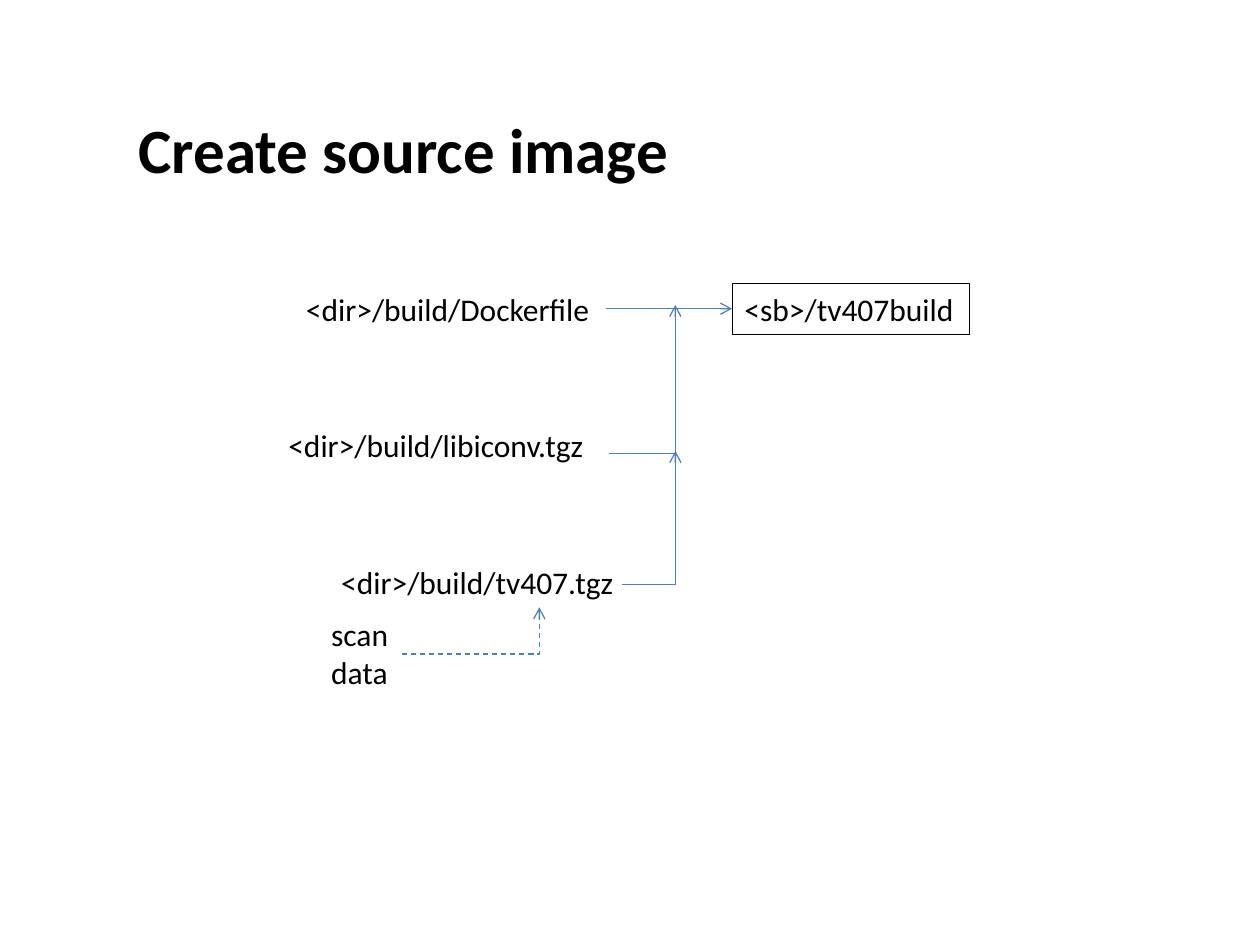
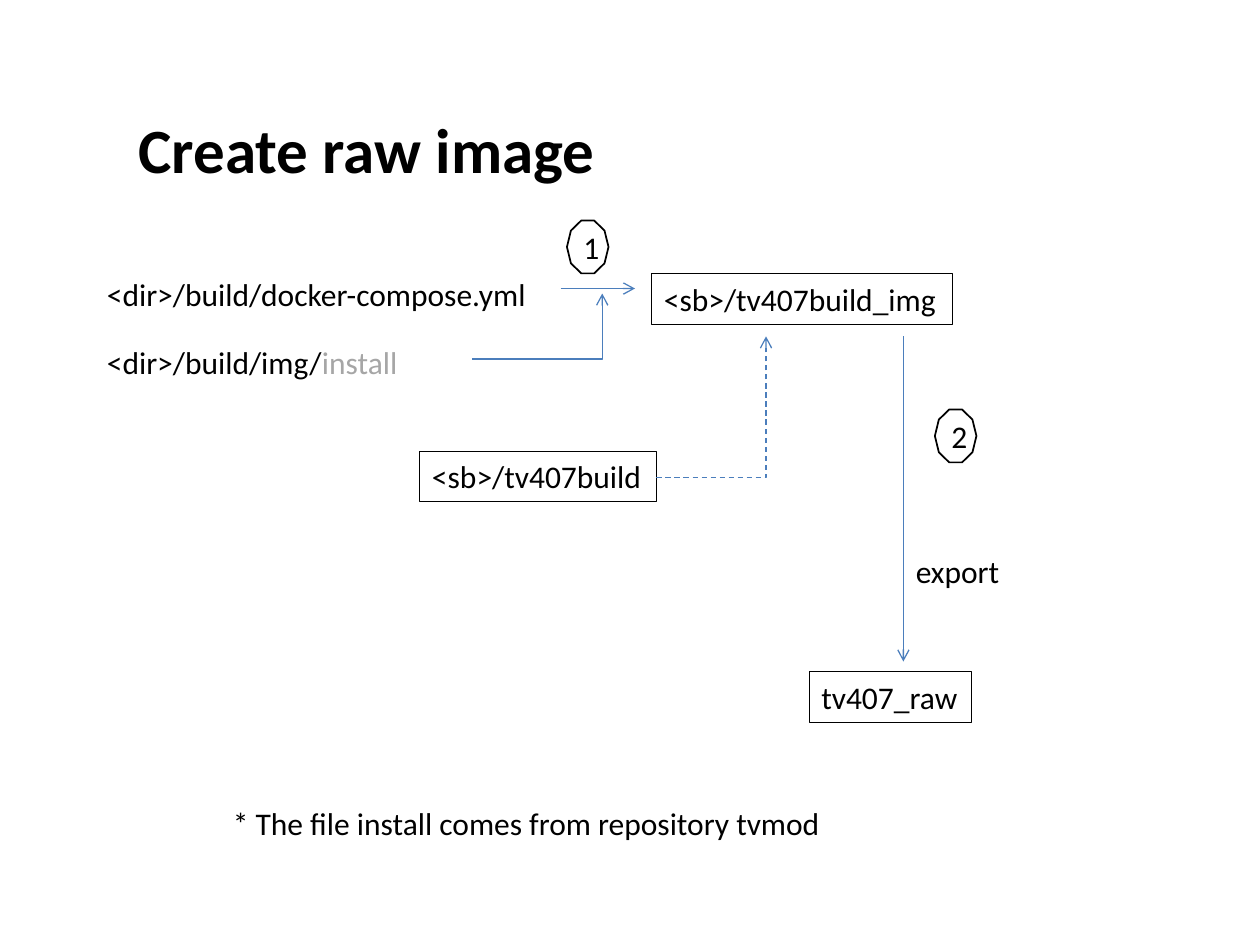
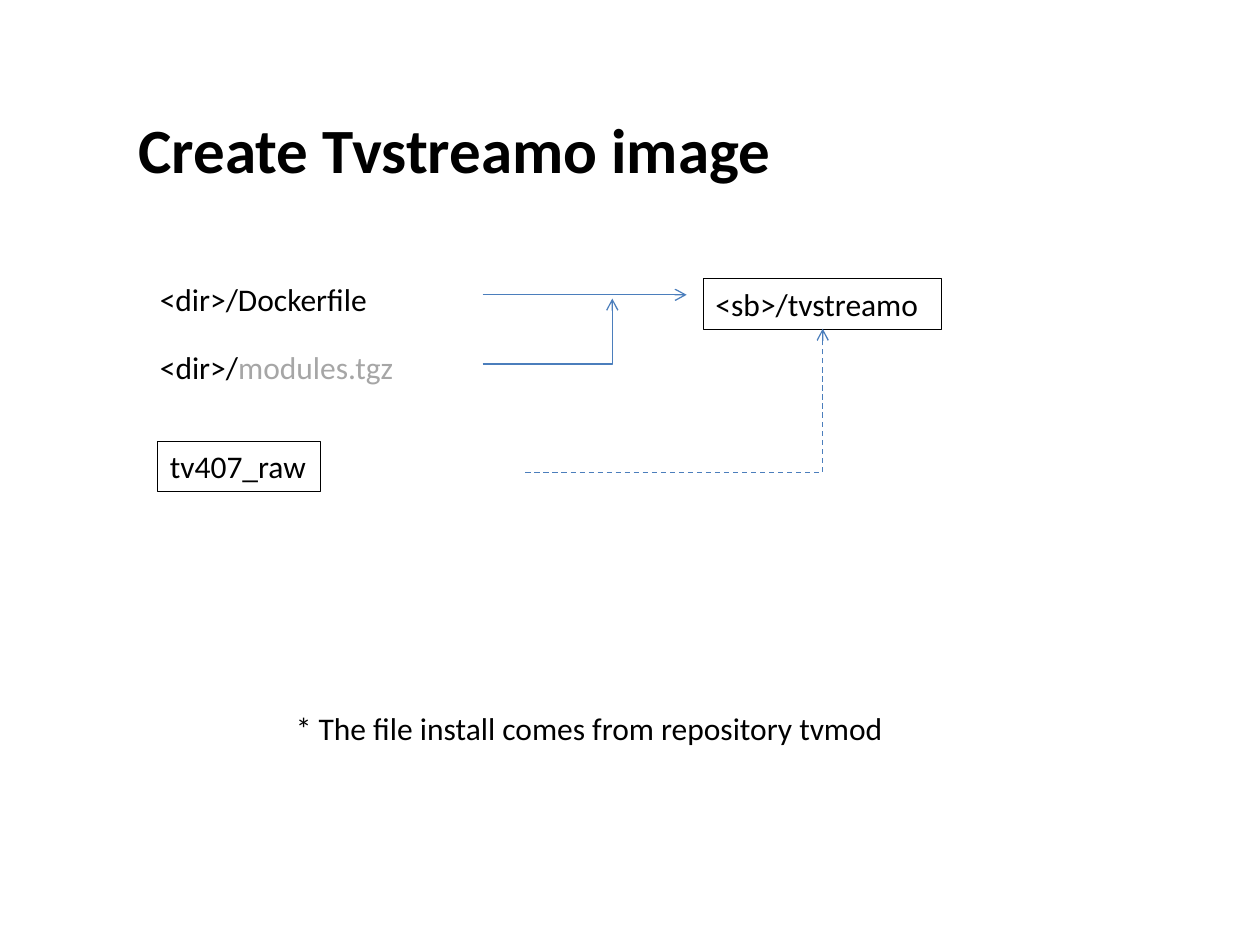
from pptx import Presentation
from pptx.dml.color import RGBColor
from pptx.enum.dml import MSO_LINE
from pptx.enum.shapes import MSO_CONNECTOR, MSO_SHAPE
from pptx.enum.text import MSO_ANCHOR, MSO_AUTO_SIZE, PP_ALIGN
from pptx.oxml.ns import qn
from pptx.util import Inches, Pt
from lxml import etree

FONT = "Calibri"
BLACK, GREY, BLUE = "000000", "A6A6A6", "4B7EBC"
LABEL_H = 0.4
STEP_W, STEP_H = 0.33, 0.42
TITLE_ONLY = 5
DASH = MSO_LINE.DASH
RECT, DECAGON = MSO_SHAPE.RECTANGLE, MSO_SHAPE.DECAGON

NOTE = "* The file install comes from repository tvmod"

# labels: left, top, width, text, optional grey ending
# boxes:  left, top, width, text
# steps:  left, top, number
# arrows: from, to, dashed; an arrow that changes both x and y runs across, then up
SLIDES = [
    {
        "title": ("Create source image", 4.45),
        "labels": [
            (2.33, 2.25, 2.48, "<dir>/build/Dockerfile"),
            (2.19, 3.33, 2.57, "<dir>/build/libiconv.tgz"),
            (2.61, 4.42, 2.39, "<dir>/build/tv407.tgz"),
            (2.53, 4.83, 0.66, "scan\ndata"),
        ],
        "boxes": [(5.81, 2.25, 1.88, "<sb>/tv407build")],
        "arrows": [
            ((4.81, 2.45), (5.81, 2.45), False),
            ((4.83, 3.6), (5.36, 2.42), False),
            ((4.94, 4.64), (5.36, 3.58), False),
            ((3.19, 5.19), (4.28, 4.82), True),
        ],
    },
    {
        "title": ("Create raw image", 3.85),
        "labels": [
            (0.75, 2.13, 3.57, "<dir>/build/docker-compose.yml"),
            (0.75, 2.67, 2.53, "<dir>/build/img/", "install"),
            (7.17, 4.33, 0.87, "export"),
            (1.75, 6.33, 5.1, NOTE),
        ],
        "boxes": [
            (3.33, 3.58, 1.88, "<sb>/tv407build"),
            (5.17, 2.17, 2.39, "<sb>/tv407build_img"),
            (6.42, 5.33, 1.29, "tv407_raw"),
        ],
        "steps": [(4.5, 1.75, "1"), (7.42, 3.25, "2")],
        "arrows": [
            ((4.45, 2.29), (5.04, 2.29), False),
            ((3.75, 2.85), (4.78, 2.33), False),
            ((5.21, 3.79), (6.08, 2.67), True),
            ((7.17, 2.67), (7.17, 5.25), False),
        ],
    },
    {
        "title": ("Create Tvstreamo image", 5.38),
        "labels": [
            (1.17, 2.17, 1.87, "<dir>/Dockerfile"),
            (1.17, 2.71, 2.08, "<dir>/", "modules.tgz"),
            (2.25, 5.58, 5.1, NOTE),
        ],
        "boxes": [
            (5.58, 2.21, 1.89, "<sb>/tvstreamo"),
            (1.25, 3.5, 1.29, "tv407_raw"),
        ],
        "arrows": [
            ((3.83, 2.34), (5.45, 2.34), False),
            ((3.83, 2.89), (4.86, 2.37), False),
            ((4.17, 3.75), (6.53, 2.61), True),
        ],
    },
]


def rgb(color):
    return RGBColor.from_string(color)


def style_run(r, size=18, color=BLACK, bold=False):
    r.font.name = FONT
    r.font.size = Pt(size)
    r.font.bold = bold
    r.font.color.rgb = rgb(color)


def style_text(tf, **font):
    for p in tf.paragraphs:
        for r in p.runs:
            style_run(r, **font)


def fit_to_text(tf):
    tf.word_wrap = False
    tf.auto_size = MSO_AUTO_SIZE.SHAPE_TO_FIT_TEXT
    tf.vertical_anchor = MSO_ANCHOR.TOP


def set_title(s, text, width):
    sp = s.shapes.title
    sp.left, sp.top = Inches(1), Inches(0.83)
    sp.width, sp.height = Inches(width), Inches(0.71)
    tf = sp.text_frame
    tf.text = text
    fit_to_text(tf)
    tf.paragraphs[0].alignment = PP_ALIGN.LEFT
    style_text(tf, size=36, bold=True)


def add_label(s, left, top, width, text, grey_end=""):
    height = LABEL_H + 0.31 * text.count("\n")
    sp = s.shapes.add_textbox(Inches(left), Inches(top), Inches(width), Inches(height))
    tf = sp.text_frame
    tf.text = text
    fit_to_text(tf)
    style_text(tf)
    if grey_end:
        r = tf.paragraphs[-1].add_run()
        r.text = grey_end
        style_run(r, color=GREY)


def add_outline(s, kind, left, top, width, height, text, line_width, align):
    """Add an unfilled, black-edged shape and return its text frame."""
    sp = s.shapes.add_shape(kind, Inches(left), Inches(top), Inches(width), Inches(height))
    sp.shadow.inherit = False
    sp.fill.background()
    sp.line.color.rgb = rgb(BLACK)
    sp.line.width = Pt(line_width)
    tf = sp.text_frame
    tf.text = text
    tf.paragraphs[0].alignment = align
    style_text(tf)
    return tf


def add_box(s, left, top, width, text):
    tf = add_outline(s, RECT, left, top, width, LABEL_H, text, 0.25, PP_ALIGN.LEFT)
    fit_to_text(tf)


def add_step(s, left, top, number):
    tf = add_outline(s, DECAGON, left, top, STEP_W, STEP_H, number, 1, PP_ALIGN.CENTER)
    tf.vertical_anchor = MSO_ANCHOR.MIDDLE


def add_arrow(s, start, end, dashed):
    bent = start[0] != end[0] and start[1] != end[1]
    kind = MSO_CONNECTOR.ELBOW if bent else MSO_CONNECTOR.STRAIGHT
    c = s.shapes.add_connector(kind, *(Inches(v) for v in start + end))
    c.line.color.rgb = rgb(BLUE)
    c.line.width = Pt(0.75)
    if dashed:
        c.line.dash_style = DASH
    sp_pr = c._element.spPr
    if bent:
        sp_pr.find(qn("a:prstGeom")).set("prst", "bentConnector2")
    etree.SubElement(sp_pr.find(qn("a:ln")), qn("a:tailEnd"), type="arrow")
    etree.SubElement(sp_pr, qn("a:effectLst"))


def main():
    prs = Presentation()
    prs.slide_width, prs.slide_height = Inches(10), Inches(7.5)
    adders = {"labels": add_label, "boxes": add_box, "steps": add_step, "arrows": add_arrow}
    for content in SLIDES:
        s = prs.slides.add_slide(prs.slide_layouts[TITLE_ONLY])
        set_title(s, *content["title"])
        for part, add in adders.items():
            for item in content.get(part, []):
                add(s, *item)
    prs.save("out.pptx")


if __name__ == "__main__":
    main()
